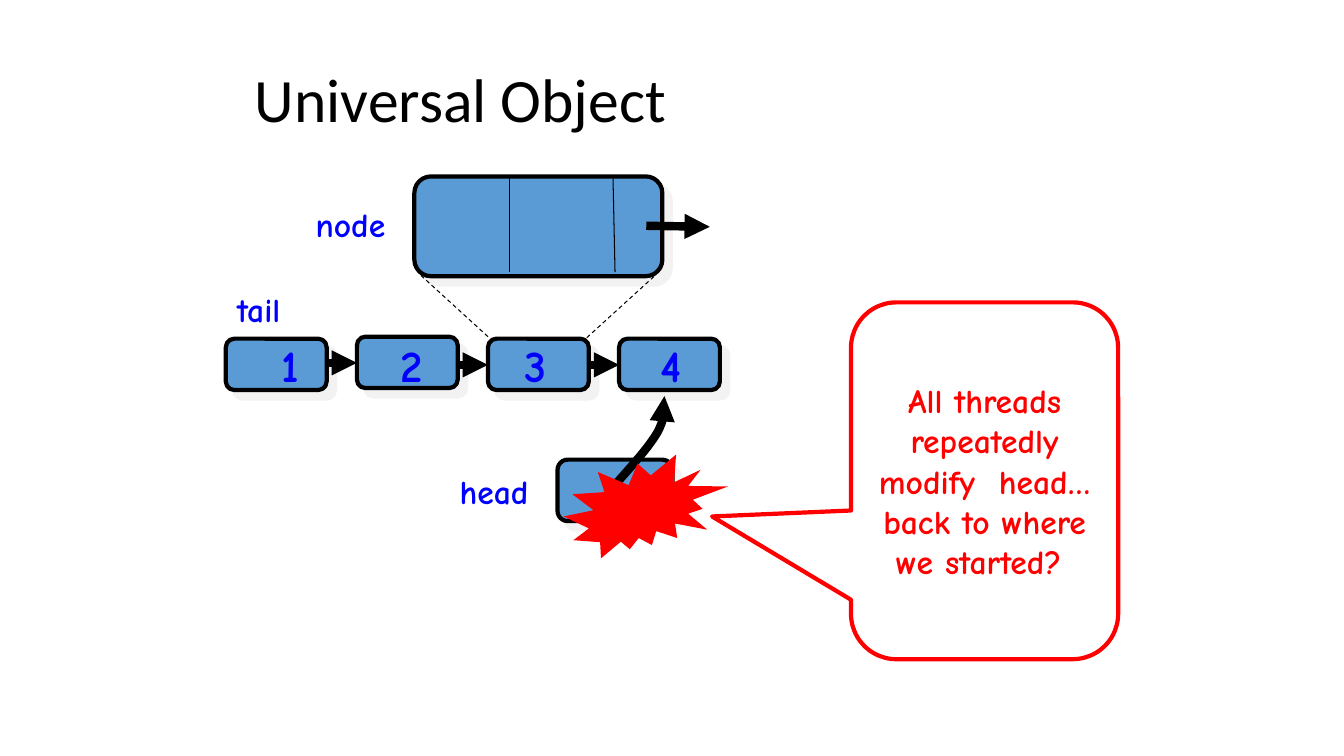
from dataclasses import dataclass

from lxml import etree
from pptx import Presentation
from pptx.dml.color import RGBColor
from pptx.enum.dml import MSO_LINE
from pptx.enum.shapes import MSO_CONNECTOR, MSO_SHAPE
from pptx.enum.text import MSO_ANCHOR, MSO_AUTO_SIZE, PP_ALIGN
from pptx.oxml.ns import qn
from pptx.util import Inches, Pt


@dataclass(frozen=True)
class Theme:
    black: str = "000000"
    node_fill: str = "5B9BD5"
    shadow: str = "E7E6E6"
    label: str = "0000FF"
    alert: str = "FF0000"
    white: str = "FFFFFF"
    title_font: str = "Calibri"
    body_font: str = "Comic Neue"
    title_size: int = 44
    number_size: int = 32
    label_size: int = 24
    outline: float = 3
    arrow: float = 6
    hairline: float = 0.75


THEME = Theme()


def rgb(value):
    return RGBColor.from_string(value)


def add_xml(parent, tag, **attributes):
    return etree.SubElement(parent, qn(tag), attributes)


def style_line(line, width, color=THEME.black, dashed=False, arrow=False):
    line.color.rgb = rgb(color)
    line.width = Pt(width)
    if dashed:
        line.dash_style = MSO_LINE.DASH
    if arrow:
        add_xml(line._get_or_add_ln(), "a:tailEnd", type="triangle")


def add_shape(slide, kind, left, top, width, height, fill):
    shape = slide.shapes.add_shape(
        kind, Inches(left), Inches(top), Inches(width), Inches(height))
    shape.shadow.inherit = False
    shape.fill.solid()
    shape.fill.fore_color.rgb = rgb(fill)
    return shape


def add_node_box(slide, left, top, width, height):
    """Rounded, outlined box with a pale shadow down to the right."""
    shape = add_shape(slide, MSO_SHAPE.ROUNDED_RECTANGLE,
                      left, top, width, height, THEME.node_fill)
    style_line(shape.line, THEME.outline)
    effects = shape._element.spPr.find(qn("a:effectLst"))
    shadow = add_xml(effects, "a:outerShdw", dist=str(Pt(8.5)),
                     dir="2700000", algn="ctr", rotWithShape="0")
    color = add_xml(shadow, "a:srgbClr", val=THEME.shadow)
    add_xml(color, "a:alpha", val="50000")


def add_line(slide, start, end, width, dashed=False, arrow=False):
    points = [Inches(value) for value in (*start, *end)]
    connector = slide.shapes.add_connector(MSO_CONNECTOR.STRAIGHT, *points)
    style_line(connector.line, width, dashed=dashed, arrow=arrow)
    add_xml(connector._element.spPr, "a:effectLst")


def write(paragraph, text, font, size, color, bold=False):
    run = paragraph.add_run()
    run.text = text
    run.font.name = font
    run.font.size = Pt(size)
    run.font.color.rgb = rgb(color)
    run.font.bold = bold


def add_label(slide, text, left, top, width, size=THEME.label_size):
    height = 0.5 if size == THEME.label_size else 0.63
    box = slide.shapes.add_textbox(
        Inches(left), Inches(top), Inches(width), Inches(height))
    frame = box.text_frame
    frame.word_wrap = False
    frame.auto_size = MSO_AUTO_SIZE.SHAPE_TO_FIT_TEXT
    paragraph = frame.paragraphs[0]
    paragraph.alignment = PP_ALIGN.RIGHT
    write(paragraph, text, THEME.body_font, size, THEME.label, bold=True)


def draw_title(slide, left, top, width, height):
    box = slide.shapes.add_textbox(
        Inches(left), Inches(top), Inches(width), Inches(height))
    frame = box.text_frame
    frame.word_wrap = True
    frame.vertical_anchor = MSO_ANCHOR.MIDDLE
    paragraph = frame.paragraphs[0]
    paragraph.line_spacing = 0.9
    write(paragraph, "Universal Object", THEME.title_font,
          THEME.title_size, THEME.black)


def draw_linked_list(slide, left, top, width, height, pitch):
    """Four numbered nodes chained by arrows; the second sits slightly higher."""
    lifts = (0, 0.02, 0, 0)
    number_offsets = (0.36, 0.28, 0.21, 0.25)
    for index, lift in enumerate(lifts):
        add_node_box(slide, left + index * pitch, top - lift, width, height)
    for index, drop in enumerate((0.24, 0.26, 0.26)):
        start = left + index * pitch + width
        add_line(slide, (start, top + drop),
                 (start + pitch - width, top + drop), THEME.arrow, arrow=True)
    for index, offset in enumerate(number_offsets):
        add_label(slide, str(index + 1), left + index * pitch + offset,
                  top - 0.06, 0.47, THEME.number_size)
    add_label(slide, "tail", left - 0.09, top - 0.54, 0.73)


def draw_node_detail(slide, left, top, width, height):
    """Enlarged node with three fields, projected from the list below it."""
    add_node_box(slide, left, top, width, height)
    bottom = top + height
    for near, far in (((0.73, 0.6), (0.04, -0.03)), ((1.71, 0.61), (2.38, 0))):
        add_line(slide, (left + near[0], bottom + near[1]),
                 (left + far[0], bottom + far[1]), THEME.hairline, dashed=True)
    for upper, lower in ((0.94, 0.94), (1.97, 1.99)):
        add_line(slide, (left + upper, top + 0.02),
                 (left + lower, bottom - 0.04), THEME.hairline)
    add_line(slide, (left + 2.3, top + 0.49), (left + 2.93, top + 0.5),
             THEME.arrow, arrow=True)
    add_label(slide, "node", left - 1.12, top + 0.22, 0.93)


def bezier_points(start, first, second, end, steps=10):
    for step in range(1, steps + 1):
        t = step / steps
        u = 1 - t
        yield tuple(u**3 * a + 3 * u * u * t * b + 3 * u * t * t * c + t**3 * d
                    for a, b, c, d in zip(start, first, second, end))


def draw_head(slide, left, top, width, height):
    """Head pointer, its curved arrow to the last node, and the contention burst."""
    add_node_box(slide, left, top, width, height)
    add_label(slide, "head", left - 1.15, top + 0.06, 0.96)
    start, bend, tip = (0.56, 0.26), (0.99, -0.27), (1.06, -0.63)
    curve = [*bezier_points(start, (0.73, 0.07), (0.91, -0.13), bend),
             *bezier_points(bend, (1.07, -0.42), (1.07, -0.52), tip)]
    points = [(Inches(left + x), Inches(top + y)) for x, y in [start, *curve]]
    builder = slide.shapes.build_freeform(*points[0])
    builder.add_line_segments(points[1:], close=False)
    arrow = builder.convert_to_shape()
    arrow.shadow.inherit = False
    arrow.fill.background()
    style_line(arrow.line, THEME.arrow, arrow=True)
    burst = add_shape(slide, MSO_SHAPE.EXPLOSION2, left + 0.06, top - 0.05,
                      1.63, 1.03, THEME.alert)
    burst.line.fill.background()


def draw_callout(slide, left, top, width, height):
    callout = add_shape(slide, MSO_SHAPE.ROUNDED_RECTANGULAR_CALLOUT,
                        left, top, width, height, THEME.white)
    for index, value in enumerate((-1.02, 0.1, 0.17)):
        callout.adjustments[index] = value
    color = callout._element.spPr.find(qn("a:solidFill"))[0]
    add_xml(color, "a:alpha", val="80000")
    style_line(callout.line, THEME.outline, THEME.alert)
    frame = callout.text_frame
    frame.word_wrap = True
    frame.vertical_anchor = MSO_ANCHOR.MIDDLE
    paragraph = frame.paragraphs[0]
    paragraph.alignment = PP_ALIGN.CENTER
    write(paragraph,
          "All threads repeatedly modify  head…back to where we started? ",
          THEME.body_font, THEME.label_size, THEME.alert, bold=True)


def main():
    presentation = Presentation()
    presentation.slide_width = Inches(13.33)
    presentation.slide_height = Inches(7.5)
    slide = presentation.slides.add_slide(presentation.slide_layouts[6])
    draw_title(slide, 2.43, 0.39, 8.5, 1.25)
    draw_linked_list(slide, 2.24, 3.36, 1, 0.51, pitch=1.3)
    draw_node_detail(slide, 4.11, 1.75, 2.46, 0.99)
    draw_callout(slide, 8.44, 3, 2.65, 3.54)
    draw_head(slide, 5.53, 4.56, 1.14, 0.61)
    presentation.save("out.pptx")


if __name__ == "__main__":
    main()
